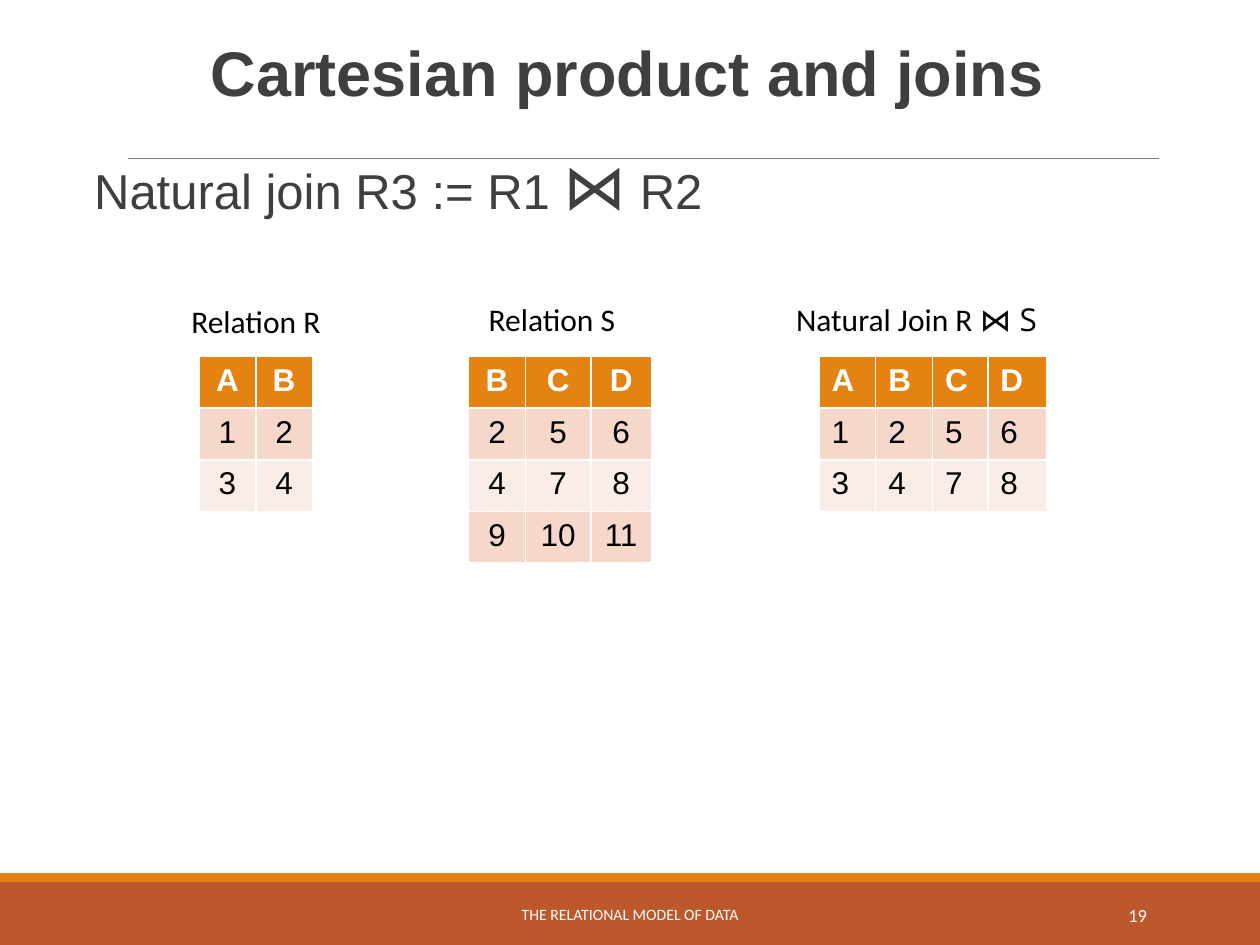
from dataclasses import dataclass

from lxml import etree
from pptx import Presentation
from pptx.dml.color import RGBColor
from pptx.enum import shapes, text
from pptx.oxml.ns import qn
from pptx.util import Inches, Pt

COLORS = {
    "rust": "BD582C",
    "orange": "E48312",
    "rule": "7F7F7F",
    "heading": "3F3F3F",
    "white": "FFFFFF",
    "black": "000000",
    "band_dark": "F5D8CA",
    "band_light": "FAECE6",
}
ROW_HEIGHT = 0.41
TABLE_TOP = 2.83
LEFT, CENTER, RIGHT = text.PP_ALIGN.LEFT, text.PP_ALIGN.CENTER, text.PP_ALIGN.RIGHT


@dataclass
class Run:
    text: str
    size: float
    font: str = "Calibri"
    color: str = "black"
    bold: bool = False


@dataclass
class Label:
    box: tuple
    runs: list
    align: int = LEFT
    anchor: int = text.MSO_ANCHOR.TOP


@dataclass
class Relation:
    left: float
    widths: list
    rows: list
    align: int = CENTER


LABELS = [
    Label((1.42, 2.35, 1.39, 0.4), [Run("Relation R", 18)]),
    Label((3.78, 2.33, 1.35, 0.4), [Run("Relation S", 18)]),
    Label((6.22, 2.33, 2.44, 0.4),
          [Run("Natural Join R ", 18), Run("⋈ S", 18, "Open Sans")]),
    Label((3.02, 7.06, 3.96, 0.4),
          [Run("THE RELATIONAL MODEL OF DATA", 9, color="white")],
          CENTER, text.MSO_ANCHOR.MIDDLE),
    Label((8.12, 7.06, 1.08, 0.4), [Run("19", 10.5, color="white")],
          RIGHT, text.MSO_ANCHOR.MIDDLE),
]
RELATIONS = [
    Relation(1.58, [0.45, 0.45], ["AB", "12", "34"]),
    Relation(3.72, [0.45, 0.52, 0.48], ["BCD", "256", "478", ["9", "10", "11"]]),
    Relation(6.5, [0.45, 0.45, 0.44, 0.47], ["ABCD", "1256", "3478"], LEFT),
]


def rgb(name: str) -> RGBColor:
    return RGBColor.from_string(COLORS[name])


def write(p, runs: list, align: int = LEFT) -> None:
    p.alignment = align
    for run in runs:
        r = p.add_run()
        r.text = run.text
        r.font.size = Pt(run.size)
        r.font.name = run.font
        r.font.bold = run.bold
        r.font.color.rgb = rgb(run.color)


def add_bar(slide, top: float, height: float, color: str) -> None:
    sp = slide.shapes.add_shape(shapes.MSO_SHAPE.RECTANGLE, 0, Inches(top),
                                Inches(10), Inches(height))
    sp.shadow.inherit = False
    sp.fill.solid()
    sp.fill.fore_color.rgb = rgb(color)
    sp.line.fill.background()


def add_rule(slide) -> None:
    line = slide.shapes.add_connector(shapes.MSO_CONNECTOR.STRAIGHT, Inches(1.02),
                                      Inches(1.26), Inches(9.2), Inches(1.26))
    line.line.color.rgb = rgb("rule")
    line.line.width = Pt(0.75)
    etree.SubElement(line._element.spPr, qn("a:effectLst"))


def fill_placeholder(sp, box: tuple, runs: list, spacing: float, align: int = LEFT):
    """Move a placeholder, write one paragraph in it and return that paragraph."""
    sp.left, sp.top, sp.width, sp.height = map(Inches, box)
    tf = sp.text_frame
    tf.auto_size = text.MSO_AUTO_SIZE.NONE
    tf.vertical_anchor = text.MSO_ANCHOR.TOP
    p = tf.paragraphs[0]
    write(p, runs, align)
    p.line_spacing = spacing
    p.space_before = Pt(0)
    return p


def set_blank_bullet(p) -> None:
    pPr = p._p.get_or_add_pPr()
    pPr.set("marL", str(Inches(0.1)))
    pPr.set("indent", str(Inches(-0.19)))
    clr = etree.SubElement(pPr, qn("a:buClr"))
    etree.SubElement(clr, qn("a:srgbClr"), val=COLORS["orange"])
    etree.SubElement(pPr, qn("a:buChar"), char=" ")


def add_label(slide, label: Label) -> None:
    tf = slide.shapes.add_textbox(*map(Inches, label.box)).text_frame
    tf.word_wrap = True
    tf.vertical_anchor = label.anchor
    write(tf.paragraphs[0], label.runs, label.align)


def add_relation(slide, relation: Relation) -> None:
    rows, widths = relation.rows, relation.widths
    table = slide.shapes.add_table(
        len(rows), len(widths), Inches(relation.left), Inches(TABLE_TOP),
        Inches(sum(widths)), Inches(ROW_HEIGHT * len(rows))).table
    for column, width in zip(table.columns, widths):
        column.width = Inches(width)
    for i, values in enumerate(rows):
        table.rows[i].height = Inches(ROW_HEIGHT)
        header = i == 0
        fill = "orange" if header else "band_dark" if i % 2 else "band_light"
        for j, value in enumerate(values):
            cell = table.cell(i, j)
            cell.fill.solid()
            cell.fill.fore_color.rgb = rgb(fill)
            run = Run(value, 18, "Arial", "white" if header else "black", header)
            write(cell.text_frame.paragraphs[0], [run], relation.align)


def main() -> None:
    prs = Presentation()
    prs.slide_width, prs.slide_height = Inches(10), Inches(7.5)
    slide = prs.slides.add_slide(prs.slide_layouts[1])

    add_bar(slide, 7, 0.5, "rust")
    add_bar(slide, 6.93, 0.07, "orange")
    add_rule(slide)

    fill_placeholder(slide.shapes.title, (0.64, 0.31, 8.68, 0.92),
                     [Run("Cartesian product and joins", 36, "Arial", "heading", True)],
                     0.85, CENTER)
    body = slide.placeholders[1]
    body.text_frame.margin_left = body.text_frame.margin_right = 0
    p = fill_placeholder(body, (0.64, 1.23, 8.68, 0.65),
                         [Run("Natural join R3 := R1 ", 28, "Arial", "heading"),
                          Run("⋈", 36, "Open Sans", "heading"),
                          Run(" R2", 28, "Arial", "heading")], 0.8)
    set_blank_bullet(p)

    for relation in RELATIONS:
        add_relation(slide, relation)
    for label in LABELS:
        add_label(slide, label)
    prs.save("out.pptx")


if __name__ == "__main__":
    main()
